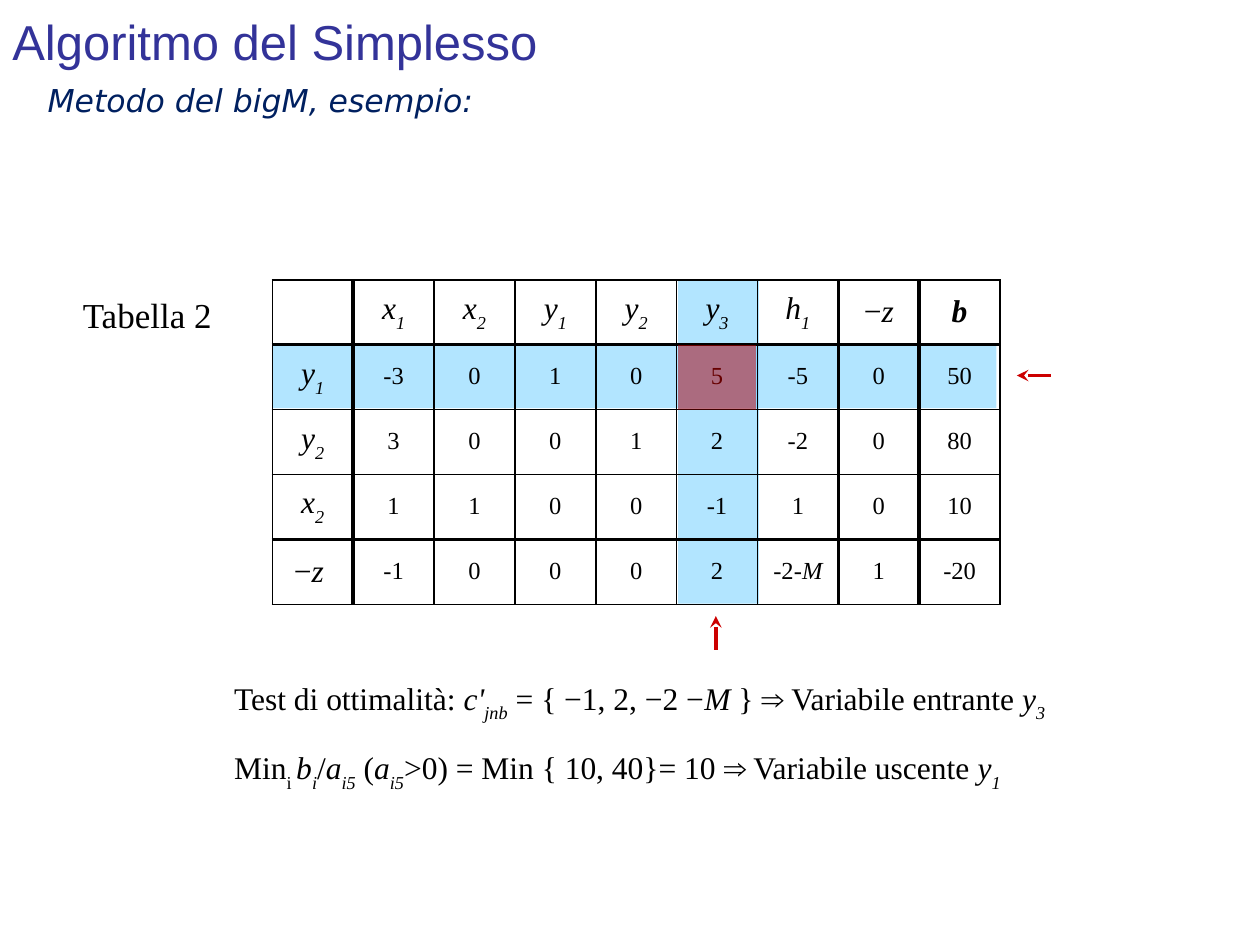
from lxml.etree import SubElement
from pptx import Presentation
from pptx.dml.color import RGBColor
from pptx.enum.shapes import MSO_CONNECTOR, MSO_SHAPE
from pptx.enum.text import MSO_ANCHOR, PP_ALIGN
from pptx.oxml import parse_xml
from pptx.oxml.ns import nsdecls, qn
from pptx.util import Cm, Pt

COLORS = {"black": "000000", "sky": "66CCFF", "red": "CC0000",
          "title": "333399", "subtitle": "002060"}
SERIF = "Times New Roman"


def add_runs(paragraph, runs, size, font=SERIF, color="black"):
    """Each run is (text, flags): i italic, b bold, s subscript."""
    for text, flags in runs:
        run = paragraph.add_run()
        run.text = text
        run.font.size = Pt(size)
        run.font.name = font
        run.font.color.rgb = RGBColor.from_string(COLORS[color])
        run.font.italic = "i" in flags
        run.font.bold = "b" in flags
        if "s" in flags:
            run.font._element.set("baseline", "-30000")


def add_highlight(left, top, width, height, color):
    shape = slide.shapes.add_shape(MSO_SHAPE.RECTANGLE, Cm(left), Cm(top), Cm(width), Cm(height))
    shape.shadow.inherit = False
    shape.fill.solid()
    shape.fill.fore_color.rgb = RGBColor.from_string(COLORS[color])
    SubElement(shape.fill._xPr.find(".//" + qn("a:srgbClr")), qn("a:alpha"), val="50000")
    shape.line.fill.background()


presentation = Presentation()
presentation.slide_width, presentation.slide_height = Cm(25.4), Cm(19.05)
slide = presentation.slides.add_slide(presentation.slide_layouts[6])

# Entering column and leaving row
add_highlight(13.67, 5.64, 1.63, 6.53, "sky")
add_highlight(5.49, 6.98, 14.6, 1.25, "sky")

# Tableau: a ruled grid with the variables, then a borderless one with the values
variables = [("x", "1"), ("x", "2"), ("y", "1"), ("y", "2"), ("y", "3"), ("h", "1")]
labels = {(0, column): [(name, "i"), (index, "is")]
          for column, (name, index) in enumerate(variables, 1)}
labels[0, 7] = [("−", ""), ("z", "i")]
labels[0, 8] = [("b", "bi")]
labels[1, 0] = [("y", "i"), ("1", "is")]
labels[2, 0] = [("y", "i"), ("2", "is")]
labels[4, 0] = [("−", ""), ("z ", "i")]

value_rows = ["-3 0 1 0 5 -5 0 50", "3 0 0 1 2 -2 0 80",
              "1 1 0 0 -1 1 0 10", "-1 0 0 0 2 -2- 1 -20"]
values = {(row, column): [(text, "")]
          for row, line in enumerate(value_rows, 1)
          for column, text in enumerate(line.split(), 1)}
values[3, 0] = [("x", "i"), ("2", "is")]
values[4, 6].append(("M", "i"))

ROWS, COLUMNS, CELL_WIDTH, CELL_HEIGHT = 5, 9, 1.63, 1.31
THICK_COLUMNS, THICK_ROWS = {1, 7, 8}, {1, 4}

for contents, top, ruled in ((labels, 5.64, True), (values, 5.62, False)):
    table = slide.shapes.add_table(ROWS, COLUMNS, Cm(5.49), Cm(top), Cm(CELL_WIDTH * COLUMNS),
                                   Cm(CELL_HEIGHT * ROWS)).table
    table.first_row = table.horz_banding = False
    for table_column in table.columns:
        table_column.width = Cm(CELL_WIDTH)
    for row in range(ROWS):
        table.rows[row].height = Cm(CELL_HEIGHT)
        for column in range(COLUMNS):
            cell = table.cell(row, column)
            cell.vertical_anchor = MSO_ANCHOR.MIDDLE
            cell.fill.background()
            edges = (("L", column in THICK_COLUMNS), ("R", column + 1 in THICK_COLUMNS),
                     ("T", row in THICK_ROWS), ("B", row + 1 in THICK_ROWS))
            for position, (side, thick) in enumerate(edges):
                width = Pt(2.25 if thick else 1)
                paint = (f'<a:solidFill><a:srgbClr val="{COLORS["black"]}"/></a:solidFill>'
                         if ruled else "<a:noFill/>")
                cell._tc.get_or_add_tcPr().insert(position, parse_xml(
                    f'<a:ln{side} {nsdecls("a")} w="{width}">{paint}</a:ln{side}>'))
            paragraph = cell.text_frame.paragraphs[0]
            paragraph.alignment = PP_ALIGN.CENTER
            is_label = row == 0 or column == 0
            add_runs(paragraph, contents.get((row, column), []), 18 if is_label else 14)

# Pivot
add_highlight(13.67, 6.96, 1.57, 1.3, "red")

# Arrows pointing at the entering column and the leaving row
for tip_x, tip_y, tail_x, tail_y in ((14.43, 12.42, 14.43, 13.11), (20.5, 7.57, 21.18, 7.57)):
    arrow = slide.shapes.add_connector(MSO_CONNECTOR.STRAIGHT, Cm(tip_x), Cm(tip_y),
                                       Cm(tail_x), Cm(tail_y))
    arrow.line.color.rgb = RGBColor.from_string(COLORS["red"])
    arrow.line.width = Pt(2.25)
    SubElement(arrow.line._get_or_add_ln(), qn("a:headEnd"), type="stealth")
    SubElement(arrow._element.spPr, qn("a:effectLst"))

# Title, subtitle, caption and the two tests
optimality = [("Test di ottimalità: ", ""), ("c'", "i"), ("jnb", "is"), (" = { −1, 2, −2 −", ""),
              ("M ", "i"), ("} ⇒ Variabile entrante ", ""), ("y", "i"), ("3", "is")]
ratio = [("Min", ""), ("i ", "s"), ("b", "i"), ("i", "is"), ("/", ""), ("a", "i"), ("i5", "is"),
         (" (", ""), ("a", "i"), ("i5", "is"),
         (">0) = Min { 10, 40}= 10 ⇒ Variabile uscente ", ""), ("y", "i"), ("1", "is")]
LEFT, JUSTIFY = PP_ALIGN.LEFT, PP_ALIGN.JUSTIFY
texts = [
    (0, -0.08, 22.86, 1.8, [("Algoritmo del Simplesso", "")], 28, "Arial", "title", LEFT),
    (0.71, 1.5, 21.64, 1.02, [("Metodo del bigM, esempio:", "i")], 18, "DejaVu Sans",
     "subtitle", LEFT),
    (1.42, 5.79, 3.53, 1.09, [("Tabella 2", "")], 20, SERIF, "black", LEFT),
    (4.47, 13.56, 20.07, 1.02, optimality, 18, SERIF, "black", JUSTIFY),
    (4.47, 14.96, 20.07, 1.02, ratio, 18, SERIF, "black", JUSTIFY),
]
for left, top, width, height, runs, size, font, color, alignment in texts:
    frame = slide.shapes.add_textbox(Cm(left), Cm(top), Cm(width), Cm(height)).text_frame
    frame.word_wrap = True
    frame.vertical_anchor = MSO_ANCHOR.MIDDLE if color == "title" else MSO_ANCHOR.TOP
    frame.paragraphs[0].alignment = alignment
    add_runs(frame.paragraphs[0], runs, size, font, color)

presentation.save("out.pptx")
